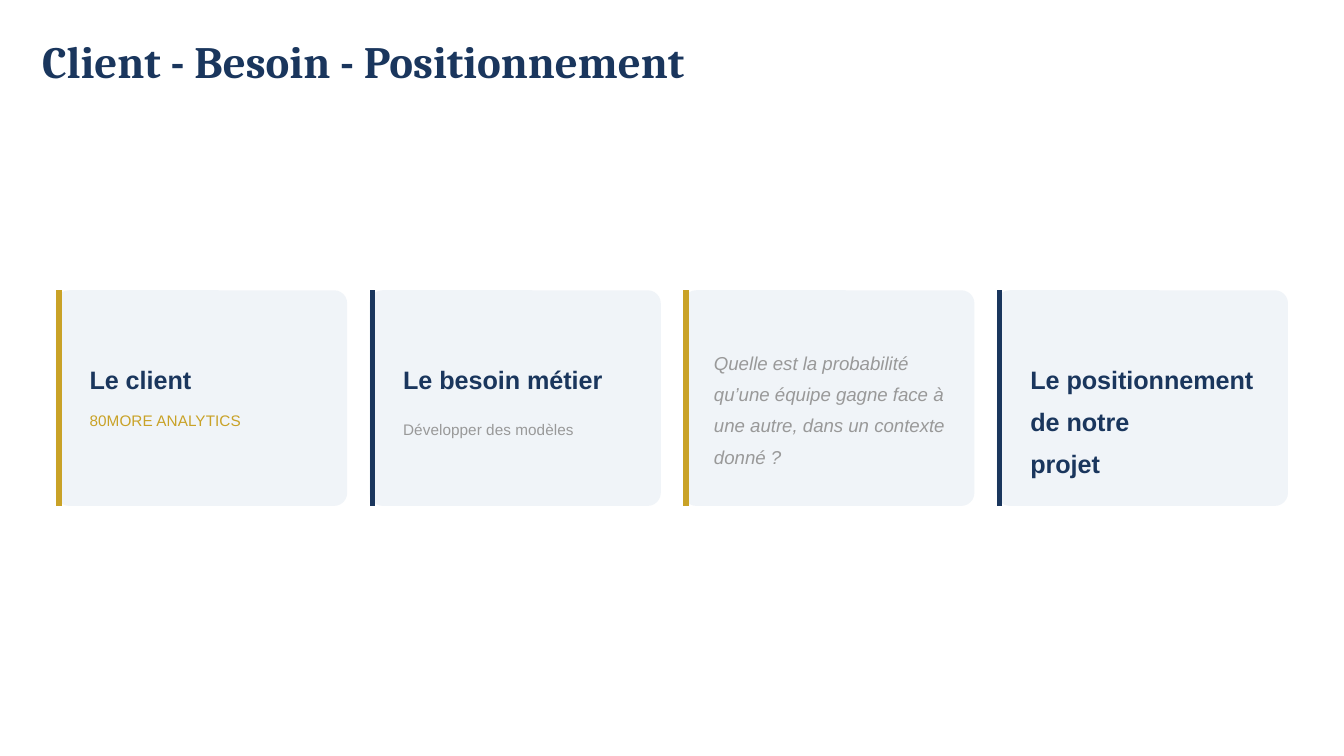
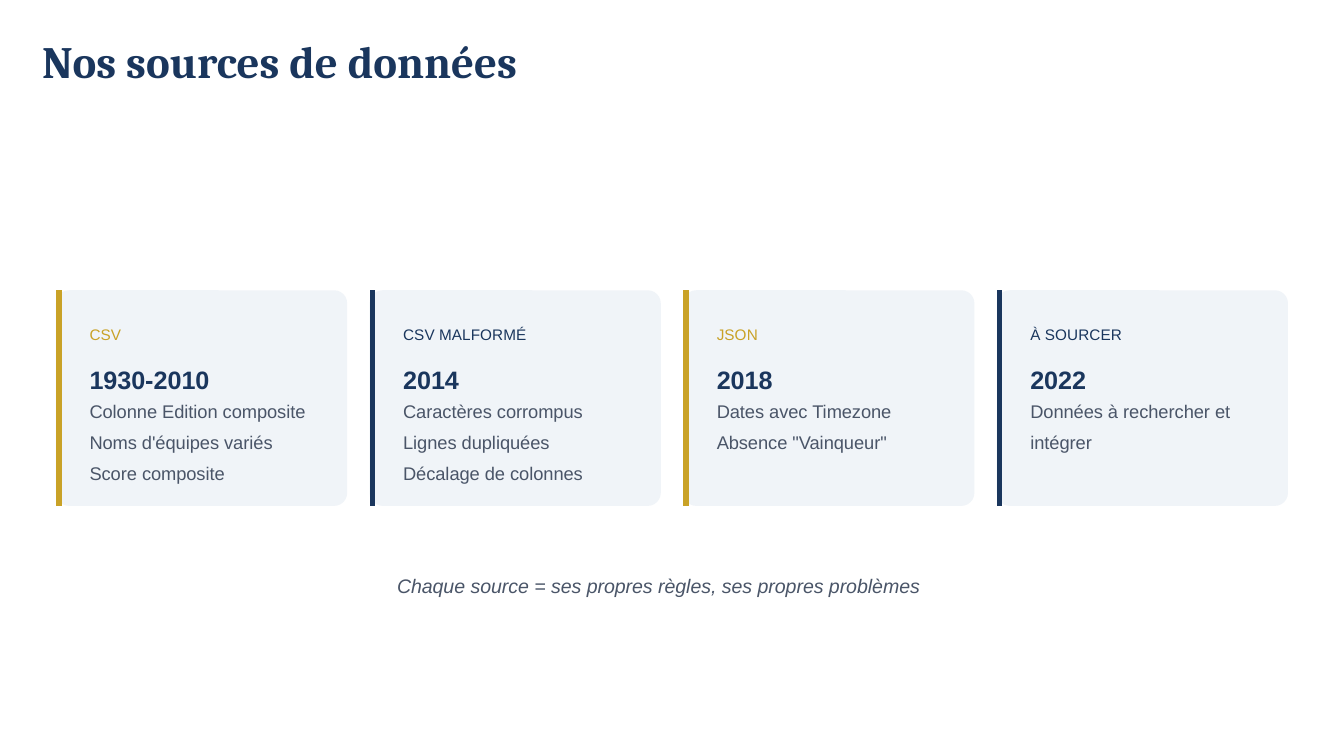
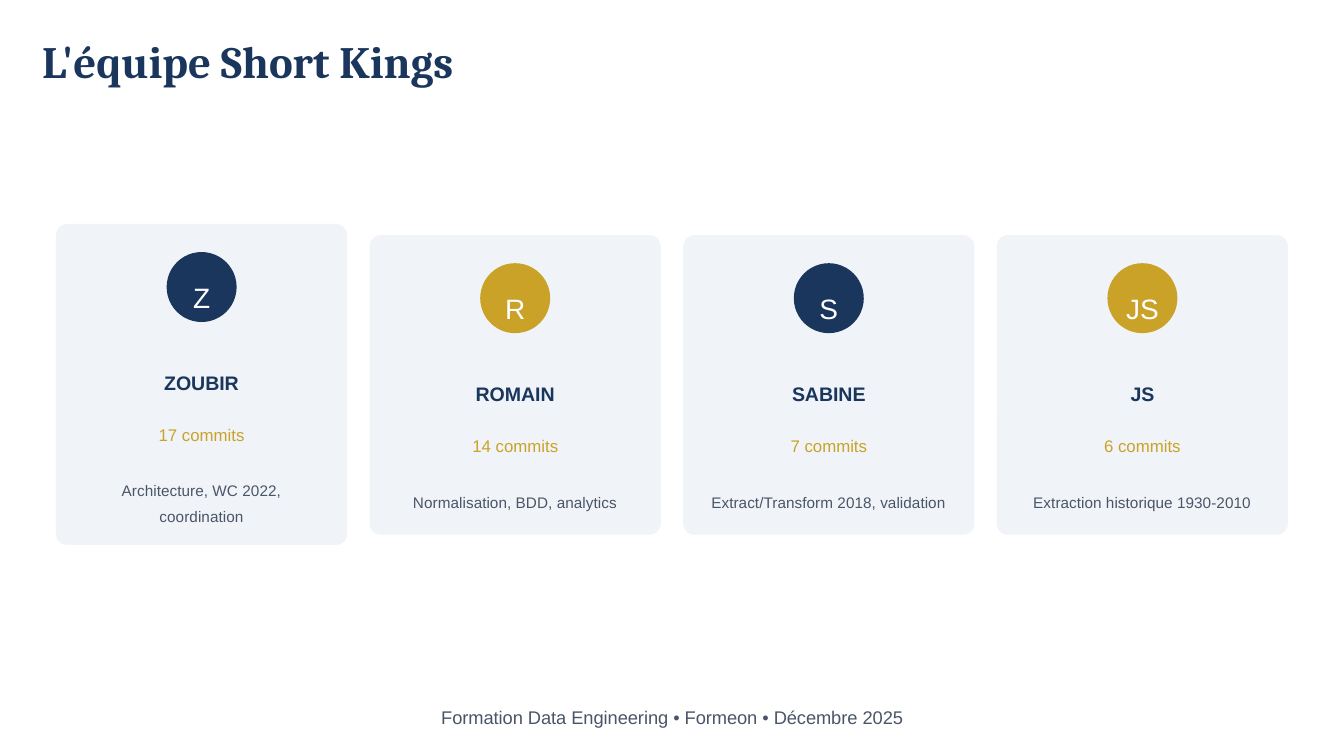
from dataclasses import dataclass

import pptx
import pptx.dml.color
import pptx.enum.shapes
import pptx.enum.text
import pptx.oxml.ns
import pptx.presentation
import pptx.shapes.autoshape
import pptx.slide
import pptx.util
from lxml import etree

Pt = pptx.util.Pt
Align = pptx.enum.text.PP_ALIGN

NAVY, GOLD, PALE = "1A365D", "C9A227", "F0F4F8"
SLATE, GREY, WHITE = "4A5568", "999999", "FFFFFF"

CARD_LEFT, CARD_WIDTH, CARD_GAP = 30, 156, 12
CARD_TOP, CARD_HEIGHT = 155.5, 115.5
CORNER = 6
TEXT_INDENT, TEXT_WIDTH = 18, 125
AVATAR = 37.5


@dataclass(frozen=True)
class Style:
    size: float
    color: str
    bold: bool = False
    italic: bool = False
    font: str = "Arial"
    spacing: float = 1.4
    align: Align = Align.LEFT


@dataclass(frozen=True)
class CardText:
    """Lines in a card, with their top measured on the slide."""
    lines: tuple[str, ...]
    top: float
    height: float
    style: Style
    indent: float = TEXT_INDENT


@dataclass(frozen=True)
class Source:
    kind: str
    years: str
    remarks: tuple[str, ...]
    remarks_height: float


@dataclass(frozen=True)
class Member:
    initials: str
    name: str
    commits: str
    role: str
    widths: tuple[float, float, float, float]
    top: float = 126
    height: float = 160.5
    role_height: float = 11.5


TITLE = Style(24, NAVY, bold=True, font="Cambria", spacing=1)
HEADING = Style(13.5, NAVY, bold=True)
REMARK = Style(9.75, SLATE)
QUESTION = Style(10, GREY, italic=True)
MOTTO = Style(10.5, SLATE, italic=True, align=Align.CENTER)
CLOSING = Style(9.75, SLATE, align=Align.CENTER)
INITIALS = Style(15, WHITE, align=Align.CENTER)
NAME = Style(10.5, NAVY, bold=True, align=Align.CENTER)
COMMITS = Style(9, GOLD, align=Align.CENTER)
ROLE = Style(8.25, SLATE, align=Align.CENTER)


def label(color: str) -> Style:
    return Style(8.25, color)


NEEDS = (
    (CardText(("Le client",), 188.5, 19, HEADING),
     CardText(("80MORE ANALYTICS",), 216.5, 11.5, label(GOLD))),
    (CardText(("Le besoin métier",), 188.5, 19, HEADING),
     CardText(("Développer des modèles",), 221, 11.5, label(GREY))),
    (CardText(("Quelle est la probabilité qu’une équipe gagne face à "
               "une autre, dans un contexte donné ?",),
              183.5, 73.5, QUESTION, indent=16.5),),
    (CardText(("Le positionnement", "de notre", "projet"), 188.5, 68.5, HEADING),),
)

SOURCES = (
    Source("CSV", "1930-2010",
           ("Colonne Edition composite", "Noms d'équipes variés", "Score composite"), 54),
    Source("CSV MALFORMÉ", "2014",
           ("Caractères corrompus", "Lignes dupliquées", "Décalage de colonnes"), 54),
    Source("JSON", "2018", ("Dates avec Timezone", 'Absence "Vainqueur"'), 57.5),
    Source("À SOURCER", "2022", ("Données à rechercher et intégrer",), 27.5),
)

TEAM = (
    Member("Z", "ZOUBIR", "17 commits", "Architecture, WC 2022, coordination",
           (9.5, 41, 47, 128), top=120, height=172, role_height=23),
    Member("R", "ROMAIN", "14 commits", "Normalisation, BDD, analytics",
           (11, 43, 47, 111.5)),
    Member("S", "SABINE", "7 commits", "Extract/Transform 2018, validation",
           (10, 40.5, 42, 128)),
    Member("JS", "JS", "6 commits", "Extraction historique 1930-2010",
           (18, 13, 42, 119)),
)


def rgb(color: str) -> pptx.dml.color.RGBColor:
    return pptx.dml.color.RGBColor.from_string(color)


def card_left(index: int) -> float:
    return CARD_LEFT + index * (CARD_WIDTH + CARD_GAP)


def accent(index: int) -> str:
    return (GOLD, NAVY)[index % 2]


def write(frame: pptx.text.text.TextFrame, lines: tuple[str, ...],
          style: Style, wrap: bool = True) -> None:
    frame.margin_left = frame.margin_right = frame.margin_top = frame.margin_bottom = 0
    frame.word_wrap = wrap
    frame.auto_size = pptx.enum.text.MSO_AUTO_SIZE.NONE
    frame.vertical_anchor = pptx.enum.text.MSO_ANCHOR.TOP
    frame.text = "\n".join(lines)
    for paragraph in frame.paragraphs:
        paragraph.alignment = style.align
        paragraph.line_spacing = style.spacing
        font = paragraph.font
        font.name, font.size = style.font, Pt(style.size)
        font.bold, font.italic = style.bold, style.italic
        font.color.rgb = rgb(style.color)


def add_text(slide: pptx.slide.Slide, lines: tuple[str, ...], left: float, top: float,
             width: float, height: float, style: Style, wrap: bool = True) -> None:
    box = slide.shapes.add_textbox(Pt(left), Pt(top), Pt(width), Pt(height))
    write(box.text_frame, lines, style, wrap)


def add_rounded(slide: pptx.slide.Slide, left: float, top: float, width: float,
                height: float, radius: float, color: str) -> None:
    shape = slide.shapes.add_shape(
        pptx.enum.shapes.MSO_SHAPE.ROUNDED_RECTANGLE,
        Pt(left), Pt(top), Pt(width), Pt(height))
    shape.adjustments[0] = radius / min(width, height)
    shape.shadow.inherit = False
    shape.fill.solid()
    shape.fill.fore_color.rgb = rgb(color)
    shape.line.fill.background()


def add_accent_card(slide: pptx.slide.Slide, index: int,
                    texts: tuple[CardText, ...]) -> None:
    left = card_left(index)
    add_rounded(slide, left, CARD_TOP, CARD_WIDTH, CARD_HEIGHT, 7, PALE)
    x = Pt(left + 1.5)
    bar = slide.shapes.add_connector(
        pptx.enum.shapes.MSO_CONNECTOR.STRAIGHT,
        x, Pt(CARD_TOP), x, Pt(CARD_TOP + CARD_HEIGHT))
    bar.line.color.rgb = rgb(accent(index))
    bar.line.width = Pt(3)
    etree.SubElement(bar._element.spPr, pptx.oxml.ns.qn("a:effectLst"))
    for text in texts:
        add_text(slide, text.lines, left + text.indent, text.top,
                 TEXT_WIDTH, text.height, text.style)


def source_texts(source: Source, color: str) -> tuple[CardText, ...]:
    return (
        CardText((source.kind,), 170.5, 11.5, label(color)),
        CardText((source.years,), 188.5, 19, HEADING),
        CardText(source.remarks, 210, source.remarks_height, REMARK),
    )


def add_member_card(slide: pptx.slide.Slide, index: int, member: Member) -> None:
    left = card_left(index)
    center = left + CARD_WIDTH / 2
    add_rounded(slide, left, member.top, CARD_WIDTH, member.height, CORNER, PALE)
    add_rounded(slide, center - AVATAR / 2, member.top + 15, AVATAR, AVATAR,
                AVATAR / 2, accent(index + 1))
    rows = (
        (member.initials, 23, 21, INITIALS),
        (member.name, 73.5, 14.5, NAME),
        (member.commits, 103, 12.5, COMMITS),
        (member.role, 134, member.role_height, ROLE),
    )
    for (text, offset, height, style), width in zip(rows, member.widths):
        add_text(slide, (text,), center - width / 2, member.top + offset,
                 width, height, style, wrap=style is ROLE)


def add_titled_slide(deck: pptx.presentation.Presentation, title: str,
                     width: float) -> pptx.slide.Slide:
    slide = deck.slides.add_slide(deck.slide_layouts[5])
    heading = slide.shapes.title
    heading.left, heading.top = Pt(22.5), Pt(18)
    heading.width, heading.height = Pt(width), Pt(24)
    write(heading.text_frame, (title,), TITLE)
    return slide


def main() -> None:
    deck = pptx.Presentation()
    deck.slide_width, deck.slide_height = Pt(720), Pt(405)

    needs = add_titled_slide(deck, "Client - Besoin - Positionnement", 537)
    for index, texts in enumerate(NEEDS):
        add_accent_card(needs, index, texts)

    sources = add_titled_slide(deck, "Nos sources de données", 360)
    for index, source in enumerate(SOURCES):
        add_accent_card(sources, index, source_texts(source, accent(index)))
    add_text(sources, ("Chaque source = ses propres règles, ses propres problèmes",),
             16.5, 302.5, 673, 14.5, MOTTO)

    team = add_titled_slide(deck, "L'équipe Short Kings", 345)
    for index, member in enumerate(TEAM):
        add_member_card(team, index, member)
    add_text(team, ("Formation Data Engineering • Formeon • Décembre 2025",),
             23.5, 373.5, 673, 13.5, CLOSING)

    deck.save("out.pptx")


if __name__ == "__main__":
    main()
